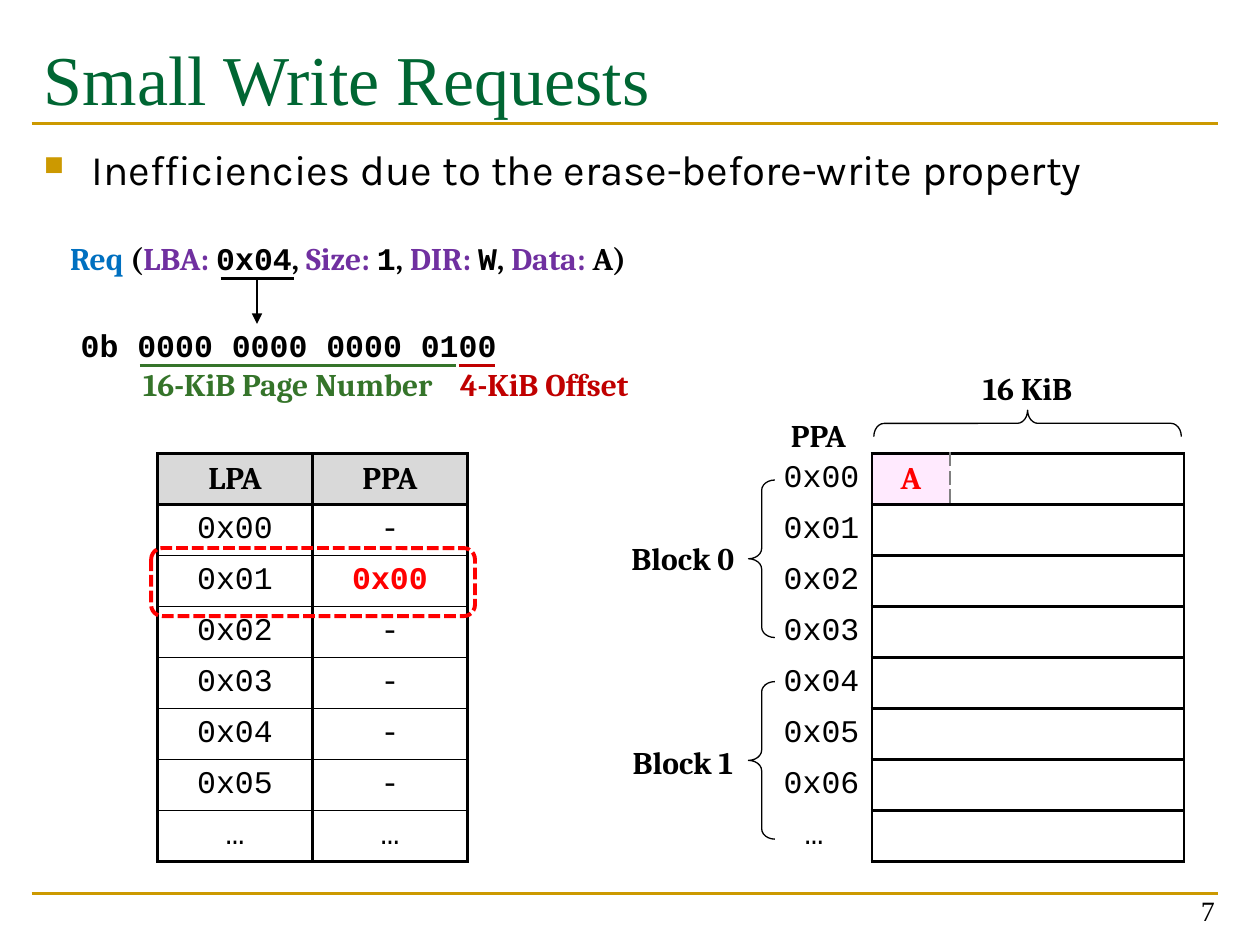
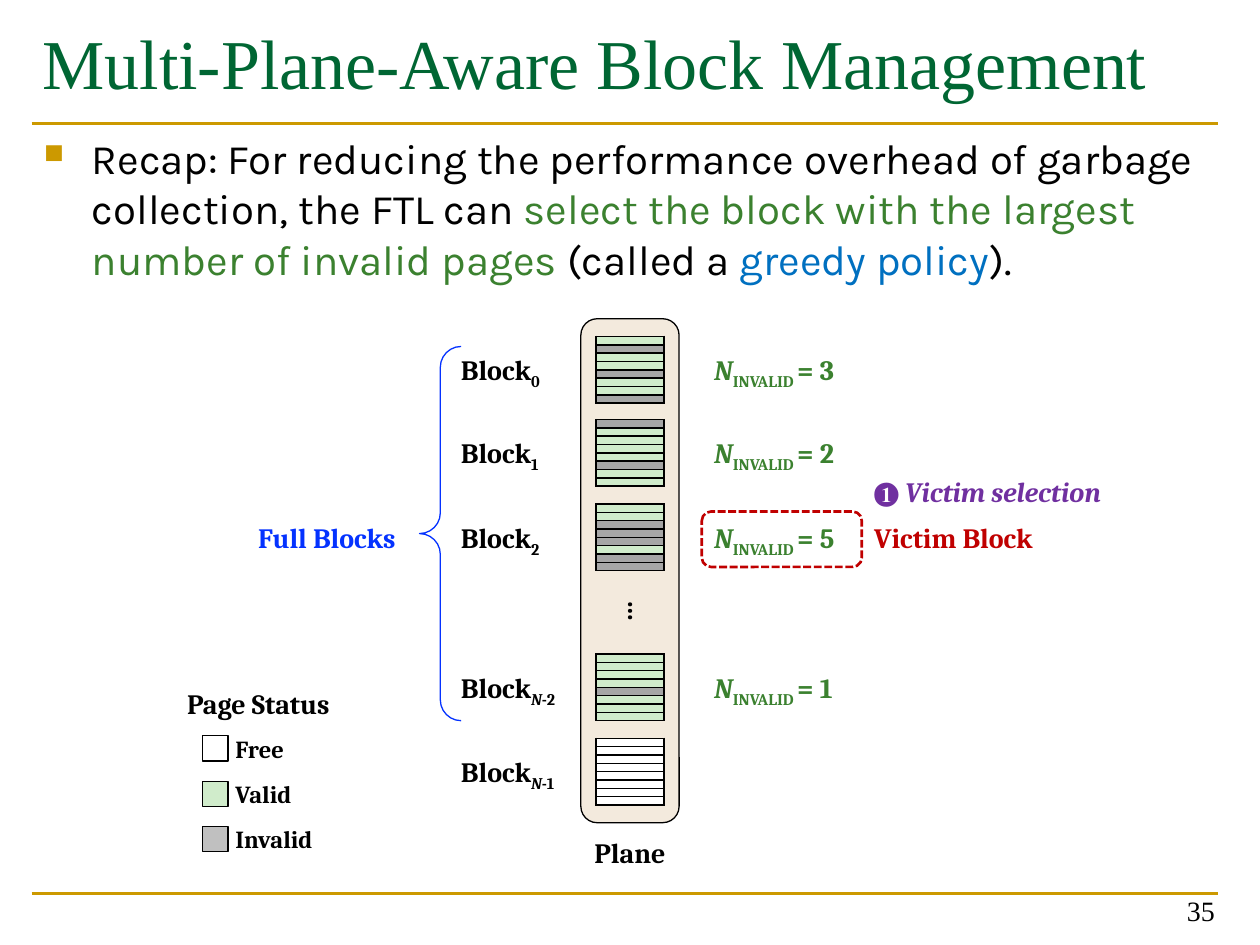
from dataclasses import dataclass

from lxml.etree import SubElement
from pptx import Presentation
from pptx.dml.color import RGBColor
from pptx.enum.dml import MSO_LINE
from pptx.enum.shapes import MSO_CONNECTOR, MSO_SHAPE
from pptx.enum.text import MSO_ANCHOR as Anchor, PP_ALIGN as Align
from pptx.oxml.ns import qn
from pptx.util import Inches, Pt


@dataclass(frozen=True)
class Theme:
    title: str = "006633"
    rule: str = "CC9900"
    black: str = "000000"
    white: str = "FFFFFF"
    red: str = "FF0000"
    dark_red: str = "C00000"
    blue: str = "0070C0"
    bright_blue: str = "0432FF"
    purple: str = "7030A0"
    green: str = "3B812F"
    page_green: str = "35742A"
    header: str = "D9D9D9"
    pink: str = "FFEAFE"
    gray: str = "808080"
    plane: str = "F3EADD"
    valid: str = "D0ECCB"
    invalid: str = "A6A6A6"
    legend_invalid: str = "C0C0C0"
    serif: str = "Cambria"
    mono: str = "Courier New"
    body_font: str = "Karla"
    title_font: str = "Times New Roman"
    title_size: int = 40
    body_size: int = 24
    diagram_size: int = 18
    label_size: int = 16
    legend_size: int = 14


theme = Theme()


def write(text_frame, runs, size, font=theme.serif, color=theme.black, bold=True,
          align=Align.LEFT, anchor=Anchor.TOP, wrap=False):
    """Fill a text frame with (text, overrides) runs and return its paragraph."""
    text_frame.word_wrap = wrap
    text_frame.vertical_anchor = anchor
    paragraph = text_frame.paragraphs[0]
    paragraph.alignment = align
    for text, style in runs:
        run = paragraph.add_run()
        run.text = text
        run.font.size = Pt(size)
        run.font.name = style.get("font", font)
        run.font.bold = bold
        run.font.italic = style.get("italic", False)
        run.font.color.rgb = RGBColor.from_string(style.get("color", color))
        if style.get("subscript"):
            run.font._element.set("baseline", "-25000")
    return paragraph


def style_cell(cell, fill, borders):
    """Set fill and borders; borders maps L, R, T, B to (color, points, dash)."""
    properties = cell._tc.get_or_add_tcPr()
    for side in "LRTB":
        color, points, dash = borders.get(side, (None, 0, "solid"))
        line = SubElement(properties, qn(f"a:ln{side}"), w=str(Pt(points)))
        if color is None:
            SubElement(line, qn("a:noFill"))
            continue
        SubElement(SubElement(line, qn("a:solidFill")), qn("a:srgbClr"), val=color)
        SubElement(line, qn("a:prstDash"), val=dash)
    cell.fill.solid()
    cell.fill.fore_color.rgb = RGBColor.from_string(fill)


presentation = Presentation()
presentation.slide_width, presentation.slide_height = Inches(10), Inches(7.5)
blank_layout = presentation.slide_layouts[6]

# Frame of each slide: title, bulleted statement, page number
frames = [
    ("Small Write Requests", (0.25, 0.23, 9.42, 1.11), (0.25, 1.09, 9.42, 5.68), "7",
     [("Inefficiencies due to the erase-before-write property", {})]),
    ("Multi-Plane-Aware Block Management", (0.24, 0.11, 9.42, 0.74), (0.25, 1, 9.42, 6.08), "35",
     [("Recap: For reducing the performance overhead of garbage collection, the FTL can ", {}),
      ("select the block with the largest number of invalid pages ", {"color": theme.green}),
      ("(called a ", {}),
      ("greedy policy", {"color": theme.blue}),
      (").", {})]),
]
slides = []
for title, title_at, body_at, page_number, statement in frames:
    slide = presentation.slides.add_slide(blank_layout)
    slides.append(slide)
    title_box = slide.shapes.add_textbox(*map(Inches, title_at))
    write(title_box.text_frame, [(title, {})], theme.title_size, theme.title_font,
          theme.title, bold=False, wrap=True)
    body_box = slide.shapes.add_textbox(*map(Inches, body_at))
    paragraph = write(body_box.text_frame, statement, theme.body_size, theme.body_font,
                      bold=False, wrap=True)
    paragraph.space_before = Pt(4.8)
    bullet = paragraph._p.get_or_add_pPr()
    bullet.set("marL", str(Inches(0.38)))
    bullet.set("indent", str(Inches(-0.38)))
    SubElement(SubElement(bullet, qn("a:buClr")), qn("a:srgbClr"), val=theme.rule)
    SubElement(bullet, qn("a:buSzPct"), val="65000")
    SubElement(bullet, qn("a:buChar"), char="■")
    number_box = slide.shapes.add_textbox(*map(Inches, (7.41, 6.91, 2.33, 0.5)))
    write(number_box.text_frame, [(page_number, {})], theme.label_size, theme.title_font,
          bold=False, align=Align.RIGHT, anchor=Anchor.BOTTOM, wrap=True)
request_slide, plane_slide = slides

# Mapping table from logical to physical pages
solid = (theme.black, 1.5, "solid")
thin = (theme.black, 1, "solid")
mapping_rows = [("LPA", "PPA"), ("0x00", "-"), ("0x01", "0x00"), ("0x02", "-"),
                ("0x03", "-"), ("0x04", "-"), ("0x05", "-"), ("…", "…")]
row_count = len(mapping_rows)
mapping = request_slide.shapes.add_table(
    row_count, 2, *map(Inches, (1.25, 3.6, 2.46, 3.24))).table
mapping.first_row = mapping.horz_banding = False
for row, values in enumerate(mapping_rows):
    for column, value in enumerate(values):
        cell = mapping.cell(row, column)
        header, mapped = row == 0, (row, column) == (2, 1)
        write(cell.text_frame, [(value, {})], theme.diagram_size,
              theme.serif if header else theme.mono,
              theme.red if mapped else theme.black,
              bold=header or mapped, align=Align.CENTER, wrap=True)
        cell.vertical_anchor = Anchor.MIDDLE
        style_cell(cell, theme.header if header else theme.white, {
            "L": solid, "R": solid,
            "T": solid if row < 2 else thin,
            "B": solid if row in (0, row_count - 1) else thin})

# Flash memory table: addresses, then four 4-KiB sectors in each page
memory = request_slide.shapes.add_table(
    row_count, 5, *map(Inches, (6, 3.6, 3.4, 3.24))).table
memory.first_row = memory.horz_banding = False
for column, width in enumerate([0.92] + [0.62] * 4):
    memory.columns[column].width = Inches(width)
sector_edge = (theme.gray, 1, "sysDash")
for row in range(row_count):
    last = row == row_count - 1
    address = memory.cell(row, 0)
    write(address.text_frame, [("…" if last else f"0x{row:02}", {})], theme.diagram_size,
          theme.mono, bold=False, align=Align.CENTER if last else Align.RIGHT, wrap=True)
    address.vertical_anchor = Anchor.MIDDLE
    style_cell(address, theme.white, {"R": solid})
    for column in range(1, 5):
        borders = {"T": solid, "B": solid}
        if column == 1:
            borders["L"] = solid
        if column == 4:
            borders["R"] = solid
        if row == 0 and column in (1, 2):
            borders["R" if column == 1 else "L"] = sector_edge
        written = (row, column) == (0, 1)
        cell = memory.cell(row, column)
        if written:
            write(cell.text_frame, [("A", {})], theme.diagram_size, color=theme.red,
                  align=Align.CENTER, wrap=True)
            cell.vertical_anchor = Anchor.MIDDLE
        style_cell(cell, theme.pink if written else theme.white, borders)

# Rules, underlines and the arrow
connectors = [(slide, 0.25, y, 9.67, y, theme.rule, False)
              for slide in slides for y in (0.98, 7.09)]
connectors += [
    (request_slide, 1.11, 2.9, 3.62, 2.9, theme.page_green, False),
    (request_slide, 3.64, 2.9, 3.93, 2.9, theme.dark_red, False),
    (request_slide, 1.75, 2.21, 2.33, 2.21, theme.black, False),
    (request_slide, 2.04, 2.21, 2.04, 2.57, theme.black, True),
]
for slide, x1, y1, x2, y2, color, arrow in connectors:
    connector = slide.shapes.add_connector(
        MSO_CONNECTOR.STRAIGHT, *map(Inches, (x1, y1, x2, y2)))
    connector.line.color.rgb = RGBColor.from_string(color)
    connector.line.width = Pt(1.5)
    properties = connector._element.spPr
    if arrow:
        SubElement(properties.find(qn("a:ln")), qn("a:tailEnd"), type="triangle")
    SubElement(properties, qn("a:effectLst"))

# Braces, highlights, plane and legend swatches
brace, rounded = MSO_SHAPE.LEFT_BRACE, MSO_SHAPE.ROUNDED_RECTANGLE
legend = [("Free", theme.white), ("Valid", theme.valid), ("Invalid", theme.legend_invalid)]
outlines = [
    (request_slide, brace, (5.94, 3.81, 0.21, 1.25), None, theme.black, 0.75, 0.39, 0),
    (request_slide, brace, (5.94, 5.41, 0.21, 1.25), None, theme.black, 0.75, 0.39, 0),
    (request_slide, brace, (8.05, 2.14, 0.21, 2.44), None, theme.black, 0.75, 0.39, 90),
    (request_slide, rounded, (1.2, 4.35, 2.57, 0.54), None, theme.red, 2.25, None, 0),
    (plane_slide, rounded, (4.61, 2.53, 0.78, 4), theme.plane, theme.black, 0.75, None, 0),
    (plane_slide, brace, (3.33, 2.75, 0.33, 2.97), None, theme.bright_blue, 0.75, 0.5, 0),
    (plane_slide, rounded, (5.57, 4.06, 1.27, 0.44), None, theme.dark_red, 1.5, None, 0),
]
outlines += [(plane_slide, MSO_SHAPE.RECTANGLE, (1.61, 5.84 + 0.36 * index, 0.2, 0.2),
              fill, theme.black, 0.75, None, 0) for index, (_, fill) in enumerate(legend)]
for slide, kind, at, fill, color, weight, curl, rotation in outlines:
    shape = slide.shapes.add_shape(kind, *map(Inches, at))
    shape.shadow.inherit = False
    shape.rotation = rotation
    shape.line.color.rgb = RGBColor.from_string(color)
    shape.line.width = Pt(weight)
    if curl:
        shape.adjustments[0] = curl
    if fill:
        shape.fill.solid()
        shape.fill.fore_color.rgb = RGBColor.from_string(fill)
    else:
        shape.fill.background()
    if kind == rounded and not fill:
        shape.line.dash_style = MSO_LINE.SQUARE_DOT

# Labels of the write request
mono, purple = {"font": theme.mono}, {"color": theme.purple}
request = [("Req", {"color": theme.blue}), (" (", {}), ("LBA: ", purple), ("0x04", mono),
           (", ", {}), ("Size: ", purple), ("1", mono), (", ", {}), ("DIR: ", purple),
           ("W", mono), (", ", {}), ("Data:", purple), (" A) ", {})]
request_labels = [
    ((0.25, 1.85, 5.08, 0.4), request),
    ((-0.25, 2.54, 5.08, 0.4), [("0b 0000 0000 0000 0100", mono)]),
    ((3.43, 2.85, 1.78, 0.4), [("4-KiB Offset", {"color": theme.dark_red})]),
    ((0.85, 2.69, 2.87, 0.71), [("16-KiB Page Number", {"color": theme.page_green})]),
    ((6.17, 3.25, 0.65, 0.4), [("PPA", {})]),
    ((4.84, 4.23, 1.16, 0.4), [("Block 0", {})]),
    ((4.84, 5.85, 1.16, 0.4), [("Block 1", {})]),
    ((7.67, 2.88, 0.97, 0.4), [("16 KiB", {})]),
]
for at, runs in request_labels:
    box = request_slide.shapes.add_textbox(*map(Inches, at))
    write(box.text_frame, runs, theme.diagram_size, align=Align.CENTER, anchor=Anchor.MIDDLE)

# Blocks of the plane: one letter per page (Valid, Invalid, Free)
page_fills = {"V": theme.valid, "I": theme.invalid, "F": theme.white}
subscript = {"subscript": True}
index_n = ("N", {"subscript": True, "italic": True})
blocks = [
    (2.67, "VIVVIVVI", [("0", subscript)]),
    (3.33, "IVVVVIVV", [("1", subscript)]),
    (4, "VVIIIVII", [("2", subscript)]),
    (5.19, "VVVVIVVV", [index_n, ("-2", subscript)]),
    (5.86, "FFFFFFFF", [index_n, ("-1", subscript)]),
]
plane_labels = []
for top, pages, index in blocks:
    block = plane_slide.shapes.add_table(
        len(pages), 1, *map(Inches, (4.73, top, 0.54, 0.53))).table
    block.first_row = block.horz_banding = False
    for row, status in enumerate(pages):
        cell = block.cell(row, 0)
        cell.margin_left = cell.margin_right = cell.margin_top = cell.margin_bottom = 0
        SubElement(cell.text_frame.paragraphs[0]._p, qn("a:endParaRPr"), sz="100")
        style_cell(cell, page_fills[status], dict.fromkeys("LRTB", thin))
    label_width = 0.87 if len(index) == 1 else 1.02
    plane_labels.append(((3.56, top + 0.08, label_width, 0.37), [("Block", {})] + index,
                         theme.black, Align.LEFT))
    if "F" not in pages:
        plane_labels.append(((5.57, top + 0.08, 1.27, 0.37),
                             [("N", {"italic": True}), ("INVALID ", subscript),
                              (f"= {pages.count('I')}", {})], theme.green, Align.LEFT))

# Remaining labels of the plane
plane_labels += [
    ((4.61, 6.58, 0.78, 0.37), [("Plane", {})], theme.black, Align.CENTER),
    ((1.36, 5.4, 1.38, 0.37), [("Page Status", {})], theme.black, Align.CENTER),
    ((1.95, 4.08, 1.33, 0.37), [("Full Blocks", {})], theme.bright_blue, Align.LEFT),
    ((6.84, 4.08, 1.5, 0.37), [("Victim Block", {})], theme.dark_red, Align.LEFT),
    ((6.84, 3.72, 2.07, 0.37), [("❶ ", {}), ("Victim selection", {"italic": True})],
     theme.purple, Align.LEFT),
]
for at, runs, color, align in plane_labels:
    box = plane_slide.shapes.add_textbox(*map(Inches, at))
    write(box.text_frame, runs, theme.label_size, color=color, align=align)
ellipsis_box = plane_slide.shapes.add_textbox(*map(Inches, (4.88, 4.67, 0.38, 0.37)))
ellipsis_box.rotation = 90
write(ellipsis_box.text_frame, [("…", {})], theme.label_size)
for index, (status, _) in enumerate(legend):
    box = plane_slide.shapes.add_textbox(
        *map(Inches, (1.77, 5.77 + 0.36 * index, 0.83, 0.34)))
    write(box.text_frame, [(status, {})], theme.legend_size, anchor=Anchor.MIDDLE, wrap=True)

presentation.save("out.pptx")
